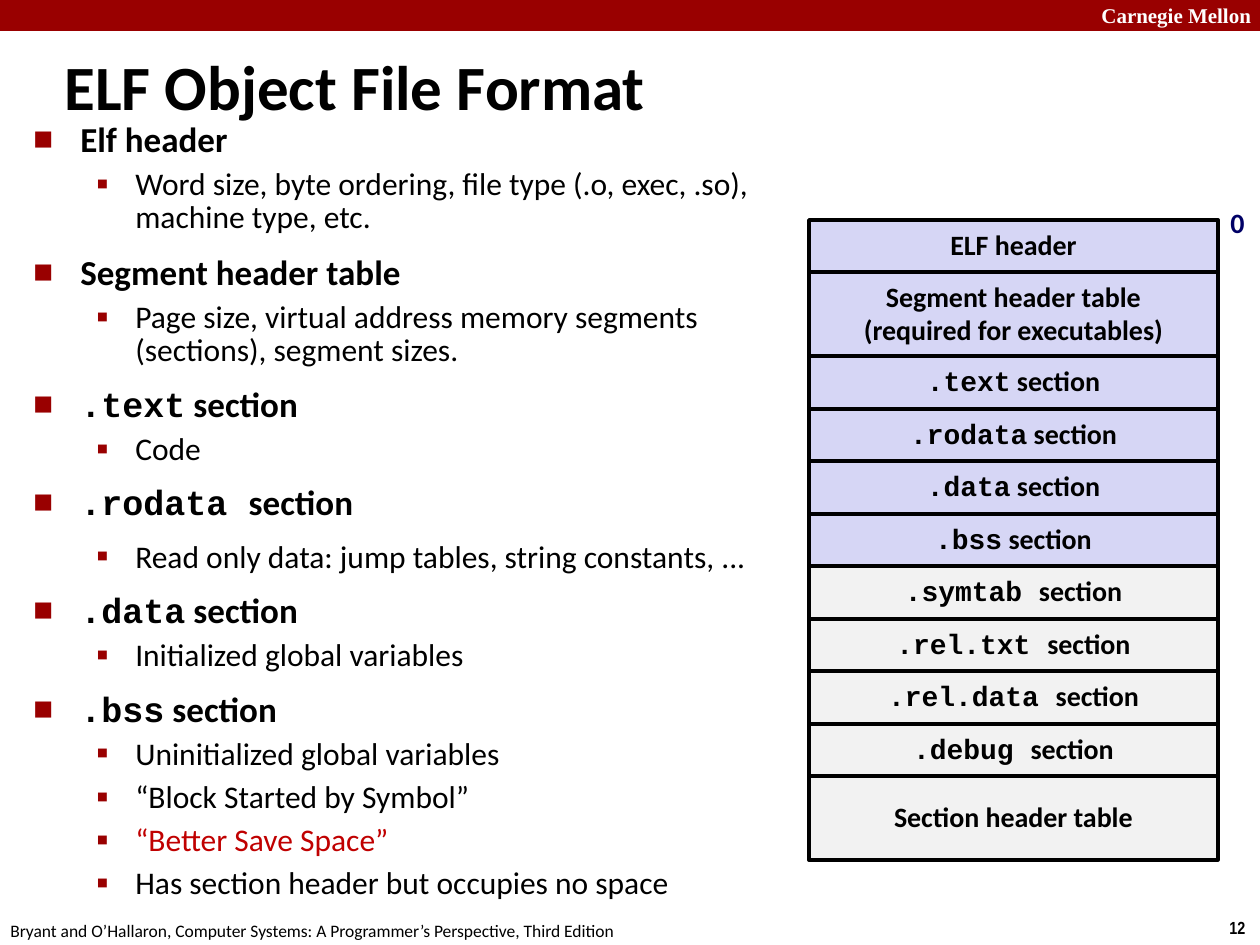
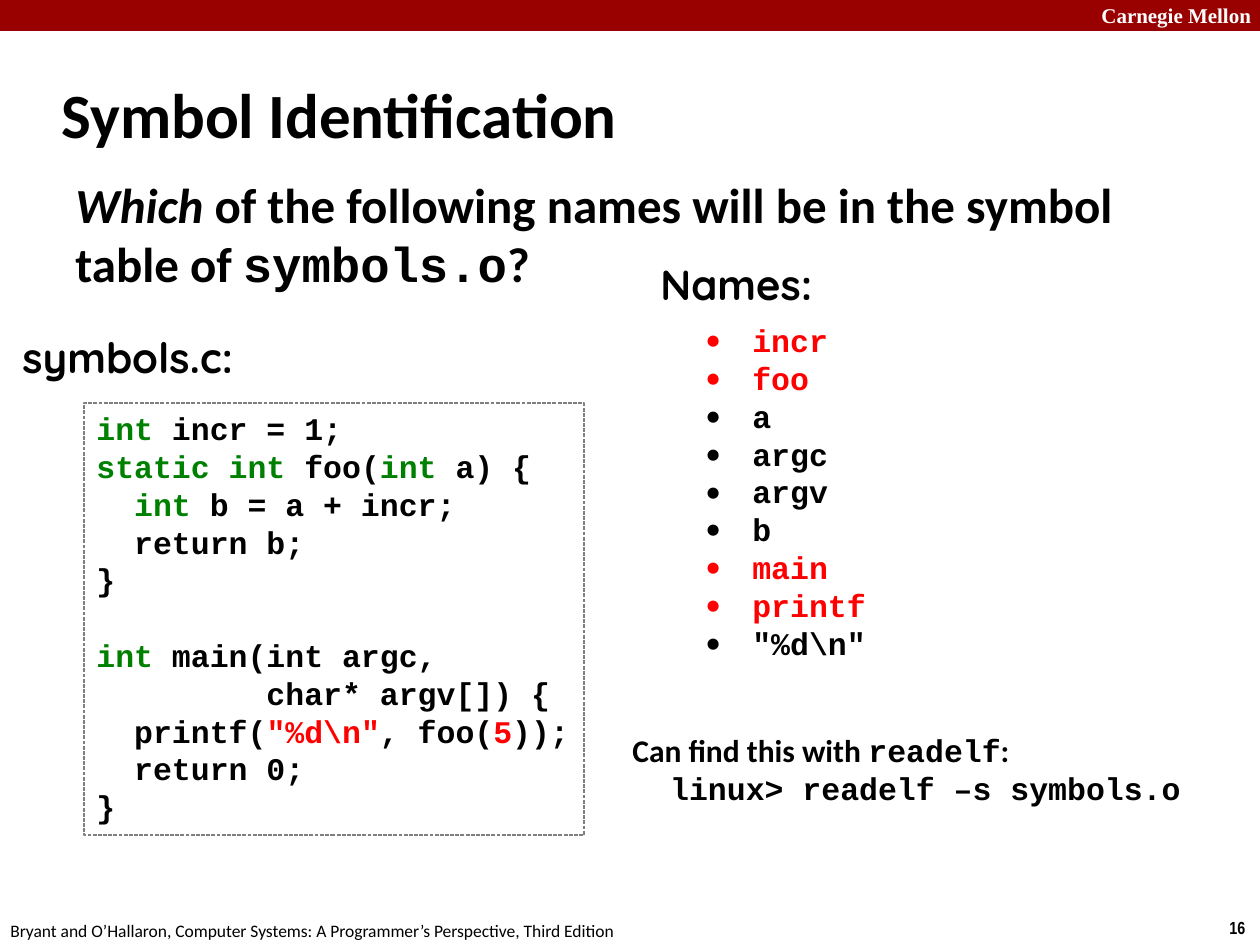
from dataclasses import dataclass

from lxml import etree
from pptx import Presentation
from pptx.dml.color import RGBColor
from pptx.enum import dml, shapes, text
from pptx.oxml import ns
from pptx.util import Emu, Pt

PX = 914400 / 126  # EMU in one px


@dataclass(frozen=True)
class Theme:
    # Colours
    band: str = "990000"
    black: str = "000000"
    white: str = "FFFFFF"
    loaded: str = "D6D6F5"
    unloaded: str = "F2F2F2"
    offset: str = "000066"
    accent: str = "C00000"
    red: str = "FF0000"
    keyword: str = "008000"
    frame: str = "7F7F7F"
    # Fonts
    sans: str = "Calibri"
    mono: str = "Courier New"
    label: str = "Quicksand"
    serif: str = "Times New Roman"
    narrow: str = "Arial Narrow"
    # Type sizes
    title: int = 36
    question: int = 28
    heading: int = 24
    topic: int = 20
    body: int = 18
    cell: int = 16
    brand: int = 12
    footer: int = 10


T = Theme()
MONO = {"name": T.mono}
RED = {"color": T.red}
KEY = {"color": T.keyword}
SQUARE = {"char": "▪", "pct": 110, "color": T.band, "left": 102, "hang": 39}
BLOCK = {"char": "■", "pct": 60, "color": T.band, "left": 47, "hang": 47}
DOT = {"char": "•", "left": 47, "hang": 47}

# Paragraph styles of the outline: font, spacing, bullet
TOPIC = ({"size": T.topic, "bold": True},
         {"line_spacing": 0.83, "space_before": Pt(12.5)}, BLOCK)
CODE_TOPIC = (TOPIC[0], {**TOPIC[1], "line_spacing": 0.8}, BLOCK)
DETAIL = ({"size": T.body}, {"line_spacing": 0.88, "space_before": Pt(5.6), "level": 1}, SQUARE)
WIDE_DETAIL = (DETAIL[0], {**CODE_TOPIC[1], "level": 1}, SQUARE)


class Deck:
    def __init__(self, width, height):
        self.prs = Presentation()
        self.prs.slide_width, self.prs.slide_height = self.emu(width, height)
        self.s = None

    @staticmethod
    def emu(*lengths):
        return [Emu(round(n * PX)) for n in lengths]

    # Slide with the shared band, brand and footers
    def slide(self, number):
        self.s = self.prs.slides.add_slide(self.prs.slide_layouts[6])
        self.box((0, 0, 1260, 31), T.band)
        self.text((1089, -4, 180, 38), ["Carnegie Mellon"], name=T.serif,
                  size=T.brand, color=T.white, bold=True)
        self.text((1217, 911, 43, 34), [number], wrap=False, name=T.narrow,
                  size=T.footer, bold=True)
        self.text((-2, 914, 640, 34), ["Bryant and O’Hallaron, Computer Systems: "
                  "A Programmer’s Perspective, Third Edition"], wrap=False, size=T.footer)

    def title(self, at, words):
        self.text(at, [words], middle=True, size=T.title, bold=True)

    # Rectangle, filled or open
    def box(self, at, fill=None, line=None, width=1, dash=None):
        sp = self.s.shapes.add_shape(shapes.MSO_SHAPE.RECTANGLE, *self.emu(*at))
        sp.shadow.inherit = False
        if fill:
            sp.fill.solid()
            sp.fill.fore_color.rgb = RGBColor.from_string(fill)
        else:
            sp.fill.background()
        if line:
            sp.line.color.rgb = RGBColor.from_string(line)
            sp.line.width = Pt(width)
            sp.line.dash_style = dash
        else:
            sp.line.fill.background()
        return sp

    # Text box of plain paragraphs
    def text(self, at, lines, wrap=True, middle=False, **font):
        sp = self.s.shapes.add_textbox(*self.emu(*at))
        self.fill_text(sp, [(line, font, {}, None) for line in lines], wrap, middle)

    # Text box of paragraphs that each carry a style
    def outline(self, at, items):
        sp = self.s.shapes.add_textbox(*self.emu(*at))
        self.fill_text(sp, [(runs, *style) for style, runs in items])

    # Rectangle with text inside
    def text_box(self, at, lines, look, wrap=False, middle=False, spacing=None, bullet=None, **font):
        sp = self.box(at, **look)
        align = {"alignment": text.PP_ALIGN.CENTER if middle else text.PP_ALIGN.LEFT}
        if spacing:
            align["line_spacing"] = spacing
        self.fill_text(sp, [(line, font, align, bullet) for line in lines], wrap, middle)

    def fill_text(self, sp, paragraphs, wrap=True, middle=False):
        tf = sp.text_frame
        tf.word_wrap = wrap
        tf.vertical_anchor = text.MSO_ANCHOR.MIDDLE if middle else text.MSO_ANCHOR.TOP
        for i, (runs, font, spacing, bullet) in enumerate(paragraphs):
            p = tf.add_paragraph() if i else tf.paragraphs[0]
            for key, value in spacing.items():
                if i or key != "space_before":
                    setattr(p, key, value)
            runs = [runs] if isinstance(runs, str) else runs
            parts = [(r, {}) if isinstance(r, str) else r for r in runs]
            if bullet:
                self.bullet(p, bullet, {**font, **parts[0][1]}.get("color", T.black))
            for words, change in parts:
                r = p.add_run()
                r.text = words
                self.font(r.font, {"name": T.sans, "color": T.black, **font, **change})

    @staticmethod
    def font(font, values):
        for key, value in values.items():
            if key == "color":
                font.color.rgb = RGBColor.from_string(value)
            else:
                setattr(font, key, Pt(value) if key == "size" else value)

    def bullet(self, p, look, color):
        pr = p._p.get_or_add_pPr()
        left, hang = self.emu(look["left"], look["hang"])
        pr.set("marL", str(left))
        pr.set("indent", str(-hang))
        clr = etree.SubElement(pr, ns.qn("a:buClr"))
        etree.SubElement(clr, ns.qn("a:srgbClr"), val=look.get("color", color))
        etree.SubElement(pr, ns.qn("a:buSzPct"), val=str(look.get("pct", 100) * 1000))
        etree.SubElement(pr, ns.qn("a:buFont"), typeface=T.sans)
        etree.SubElement(pr, ns.qn("a:buChar"), char=look["char"])


def elf_format(deck):
    deck.slide("12")
    deck.title((52, 31, 1201, 109), "ELF Object File Format")

    # Outline of the sections
    deck.outline((21, 118, 769, 742), [
        (TOPIC, "Elf header"),
        (DETAIL, "Word size, byte ordering, file type (.o, exec, .so), machine type, etc."),
        (TOPIC, "Segment header table"),
        (DETAIL, "Page size, virtual address memory segments (sections), segment sizes."),
        (CODE_TOPIC, [(".text", MONO), " section"]),
        (DETAIL, "Code"),
        (CODE_TOPIC, [(".rodata ", MONO), "section"]),
        (WIDE_DETAIL, "Read only data: jump tables, string constants, ..."),
        (CODE_TOPIC, [(".data", MONO), " section"]),
        (DETAIL, "Initialized global variables"),
        (CODE_TOPIC, [(".bss", MONO), " section"]),
        (DETAIL, "Uninitialized global variables"),
        (DETAIL, "“Block Started by Symbol”"),
        (DETAIL, [("“Better Save Space”", {"color": T.accent})]),
        (DETAIL, "Has section header but occupies no space"),
    ])

    # File layout: a section row is 5 half-steps of 21 px high, a tall row 8
    def section(name, gap=""):
        return [[(name + gap, MONO), "section" if gap else " section"]]

    loaded = [(5, ["ELF header"]),
              (8, ["Segment header table", "(required for executables)"])]
    loaded += [(5, section(n)) for n in (".text", ".rodata", ".data", ".bss")]
    unloaded = [(5, section(n, " ")) for n in (".symtab", ".rel.txt", ".rel.data", ".debug")]
    unloaded += [(8, ["Section header table"])]
    steps = 0
    for fill, rows in ((T.loaded, loaded), (T.unloaded, unloaded)):
        for height, lines in rows:
            top, bottom = (220 + n * 21 // 2 for n in (steps, steps + height))
            deck.text_box((809, top, 409, bottom - top), lines,
                          {"fill": fill, "line": T.black, "width": 2}, middle=True,
                          spacing=0.98 if isinstance(lines[0], str) else 0.94,
                          size=T.cell, bold=True)
            steps += height
    deck.text((1218, 199, 39, 47), ["0"], wrap=False, size=T.cell, color=T.offset, bold=True)


def symbol_identification(deck):
    deck.slide("16")
    deck.title((49, 61, 1046, 105), "Symbol Identification")
    deck.text((63, 168, 1113, 136), [[
        ("Which ", {"italic": True}), "of the following names will be in the symbol table of ",
        ("symbols.o", MONO), "?"]], size=T.question, bold=True)

    # Source code
    for at, words in (((10, 325, 243, 63), "symbols.c:"), ((648, 252, 181, 63), "Names:")):
        deck.text(at, [words], wrap=False, name=T.label, size=T.heading, bold=True)
    code = [
        [("int ", KEY), "incr = 1;"],
        [("static int ", KEY), "foo(", ("int ", KEY), "a) {"],
        ["  ", ("int ", KEY), "b = a + incr;"],
        "  return b;",
        "}",
        "",
        [("int ", KEY), "main(int argc,"],
        "         char* argv[]) {",
        ["  printf(", ('"%d\\n"', RED), ", foo(", ("5", RED), "));"],
        "  return 0;",
        "}",
    ]
    mono = {"name": T.mono, "size": T.body, "bold": True}
    deck.text_box((84, 403, 500, 432), code,
                  {"line": T.frame, "width": 0.75, "dash": dml.MSO_LINE.SQUARE_DOT}, **mono)

    # Names, with those in the symbol table in red
    in_table = {"incr", "foo", "main", "printf"}
    names = ["incr", "foo", "a", "argc", "argv", "b", "main", "printf", '"%d\\n"']
    deck.text_box((693, 315, 325, 357), [[(n, RED if n in in_table else {})] for n in names],
                  {"fill": T.white}, wrap=True, bullet=DOT, **mono)

    # How to check
    deck.text((620, 725, 576, 89), [
        ["Can find this with ", ("readelf", MONO), ":"],
        [("  linux> readelf –s symbols.o", MONO)]], wrap=False, size=T.body, bold=True)


def main():
    deck = Deck(1260, 945)
    elf_format(deck)
    symbol_identification(deck)
    deck.prs.save("out.pptx")


if __name__ == "__main__":
    main()
